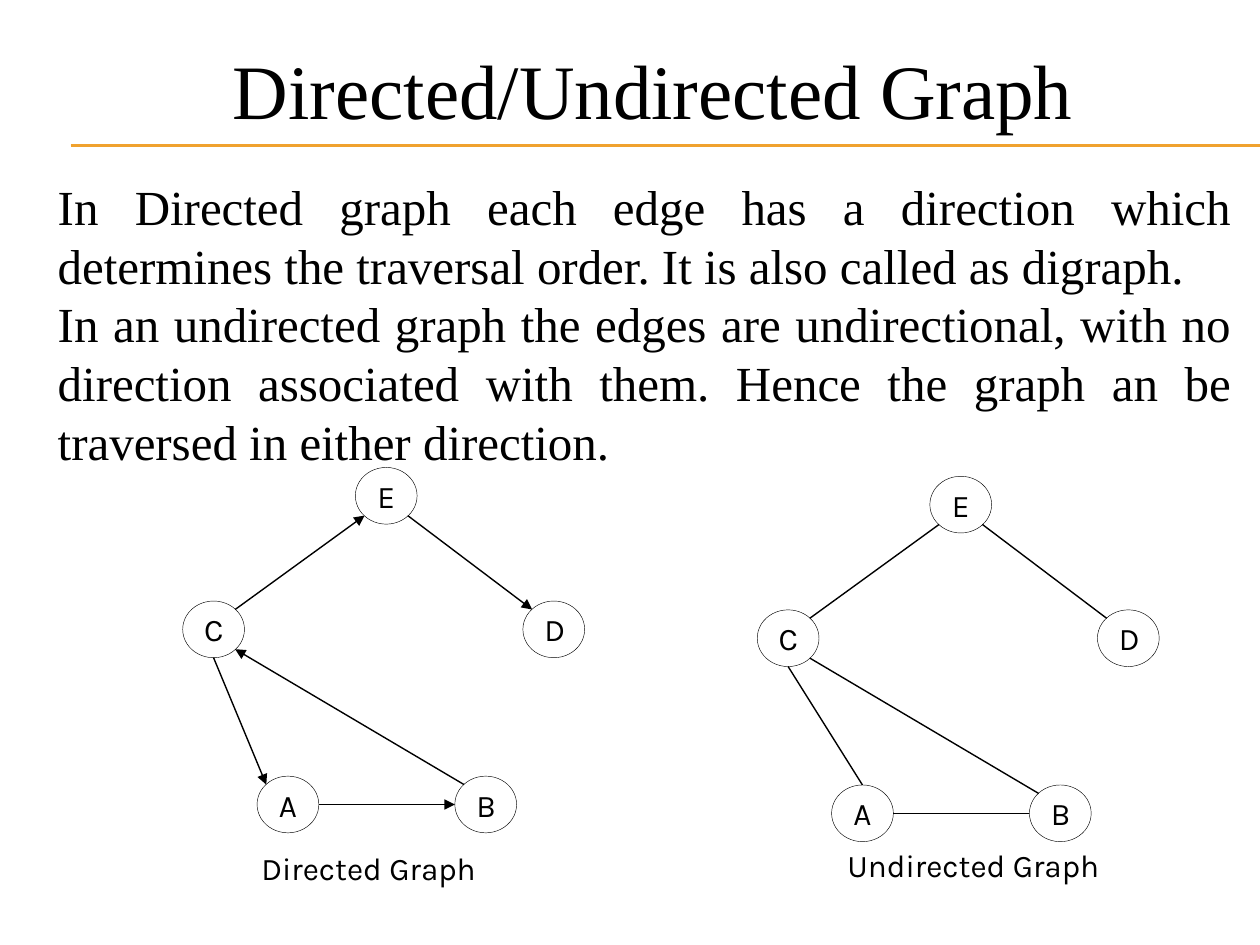
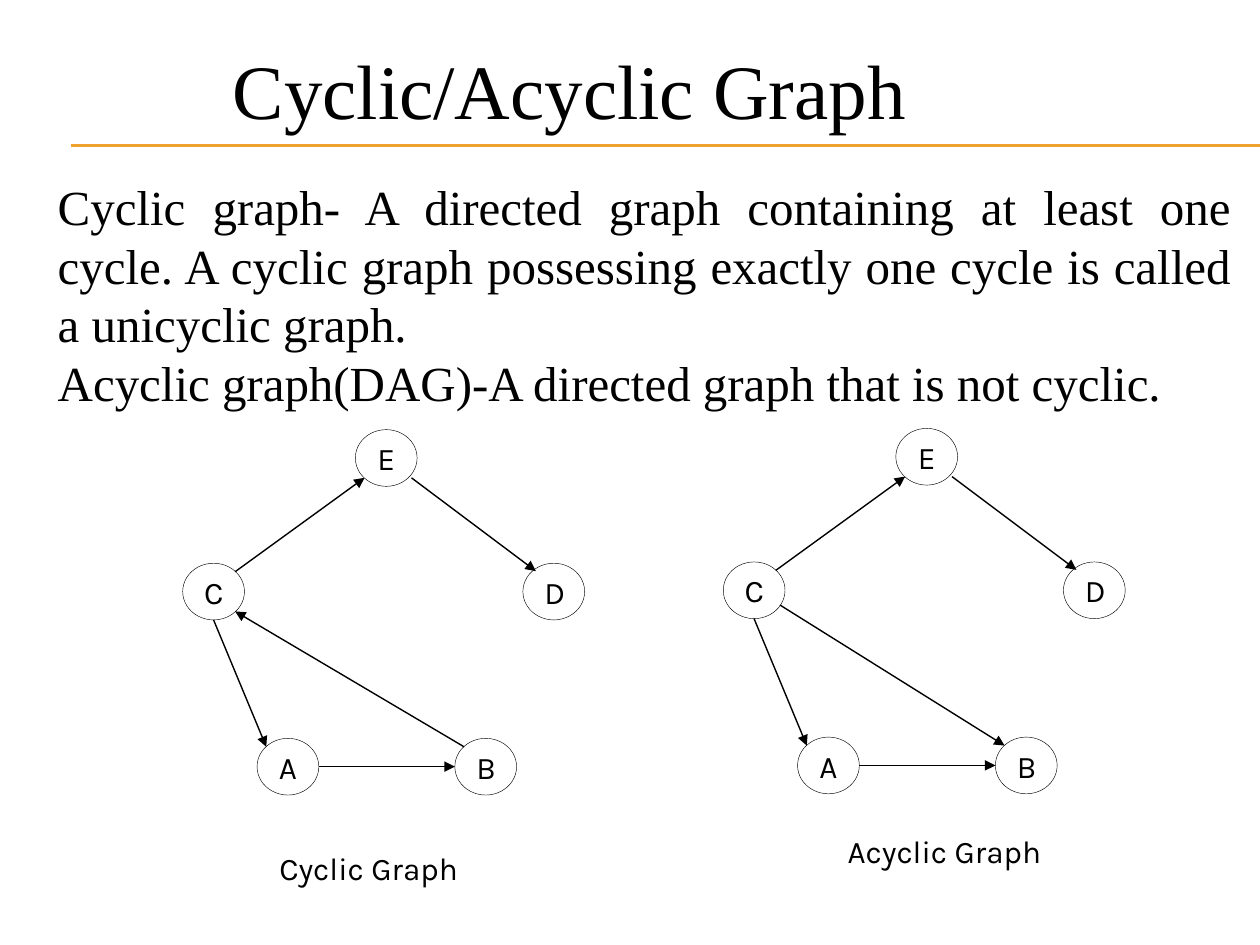
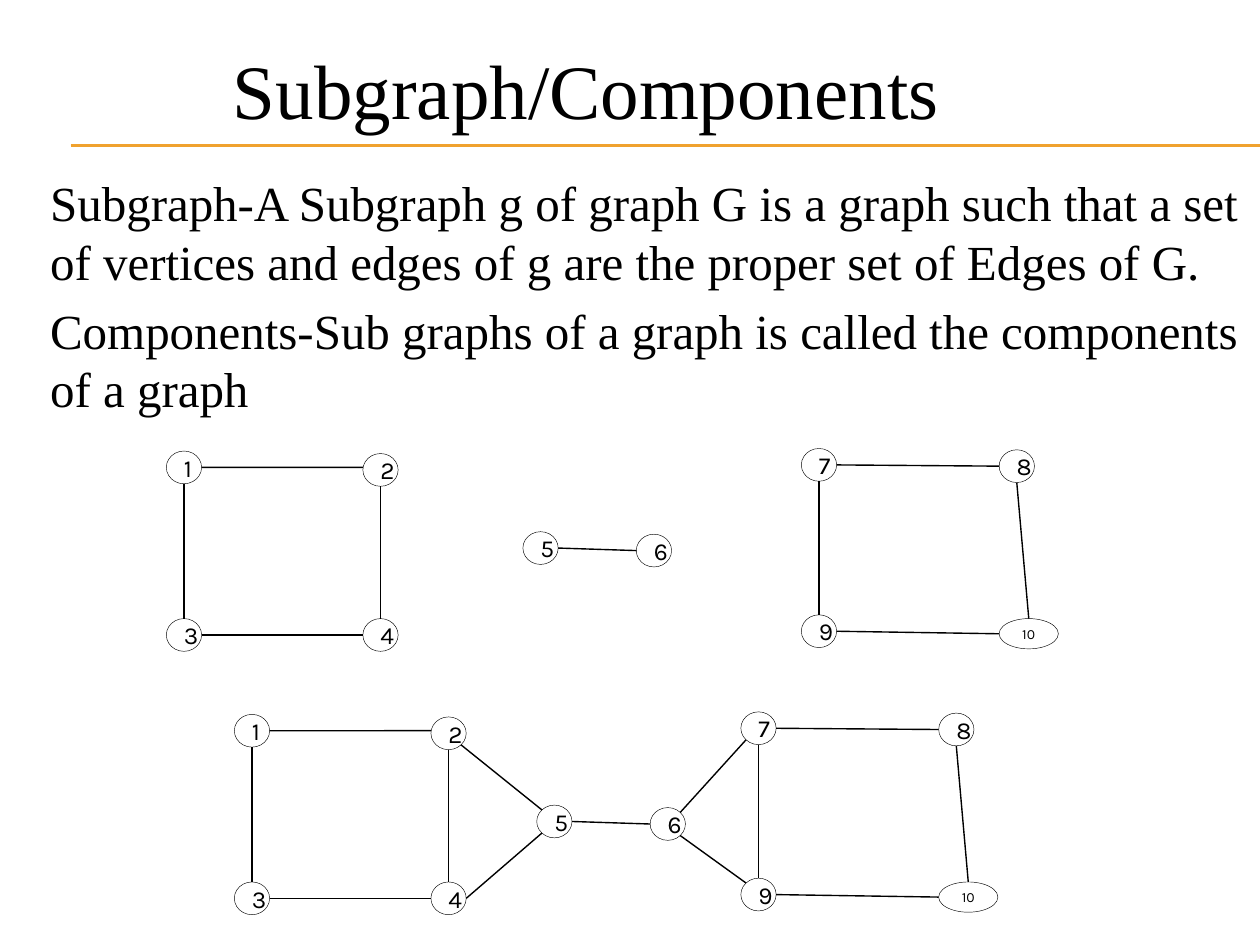
from dataclasses import dataclass

from lxml import etree
from pptx import Presentation
from pptx import util as u
from pptx.dml.color import RGBColor
from pptx.enum import shapes, text
from pptx.oxml import ns


@dataclass(frozen=True)
class Theme:
    """Colours, fonts, type sizes and line widths of the deck."""
    ink: RGBColor = RGBColor(0, 0, 0)
    accent: RGBColor = RGBColor(0xF0, 0xA2, 0x2E)
    serif: str = "Times New Roman"
    sans: str = "Karla"
    title: float = 44
    body: float = 28
    label: float = 18
    digit: float = 14
    tiny: float = 8
    rule: float = 0.75
    edge: float = 0.79
    outline: float = 0.25


THEME = Theme()
WIDTH, HEIGHT = 10, 7.5
LEFT, CENTER, JUSTIFY = (text.PP_ALIGN.LEFT, text.PP_ALIGN.CENTER,
                         text.PP_ALIGN.JUSTIFY)

# Node sizes: letters, digits and the wide node for a two-digit number.
LETTER, DIGIT, WIDE = (0.49, 0.45), (0.28, 0.26), (0.47, 0.24)

# Where edges meet a node, as shares of its box.
SITES = {
    "n": (0.5, 0), "s": (0.5, 1), "w": (0, 0.5), "e": (1, 0.5),
    "nw": (0.15, 0.15), "ne": (0.85, 0.15),
    "sw": (0.15, 0.85), "se": (0.85, 0.85),
    "wnw": (0, 0.42), "ese": (0.92, 0.76),
    "nnw": (0.21, 0.14), "see": (0.91, 0.85),
}

# Node places, relative to the top left corner of their graph.
PENTAGON = {"E": (1.37, 0), "A": (0.59, 2.45), "C": (0, 1.06),
            "D": (2.7, 1.06), "B": (2.16, 2.45)}
SQUARE = {"2": (1.56, 0.02), "3": (0, 1.33), "1": (0, 0), "4": (1.56, 1.33)}
PAIR = {"5": (0, 0), "6": (0.9, 0.02)}
TRAPEZOID = {"8": (1.57, 0.01), "9": (0, 1.32), "7": (0, 0),
             "10": (1.57, 1.35)}

# Edges, written as node:site pairs from start to end.
DIRECTED = ["C:ne E:sw", "E:se D:nw", "B:nw C:se", "C:s A:nw", "A:e B:w"]
UNDIRECTED = ["E:sw C:ne", "C:s A:n", "A:e B:w", "C:se B:nw", "E:se D:nw"]
CYCLIC = ["C:ne E:sw", "E:see D:nnw", "B:nw C:se", "C:s A:nw", "A:e B:w"]
ACYCLIC = ["C:ne E:sw", "E:see D:nnw", "C:ese B:nw", "C:s A:nw", "A:e B:w"]
SQUARE_EDGES = ["1:e 2:wnw", "2:s 4:n", "1:s 3:n", "3:e 4:w"]
PAIR_EDGES = ["5:e 6:w"]
TRAPEZOID_EDGES = ["7:e 8:w", "8:s 10:n", "7:s 9:n", "9:e 10:w"]
BRIDGES = ["2:se 5:nw", "4:e 5:sw", "6:ne 7:sw", "6:se 9:nw"]


def write(frame, lines, font, size, align, before=0):
    """Fill a text frame with one paragraph for each line."""
    for index, line in enumerate(lines):
        paragraph = frame.add_paragraph() if index else frame.paragraphs[0]
        paragraph.alignment = align
        if before:
            paragraph.space_before = u.Pt(before)
        run = paragraph.add_run()
        run.text = line
        run.font.name = font
        run.font.size = u.Pt(size)
        run.font.color.rgb = THEME.ink


def add_text(slide, box, lines, font, size, align=LEFT, before=0,
             anchor=text.MSO_ANCHOR.TOP):
    """Add a wrapping text box."""
    shape = slide.shapes.add_textbox(*map(u.Inches, box))
    shape.text_frame.word_wrap = True
    shape.text_frame.vertical_anchor = anchor
    write(shape.text_frame, lines, font, size, align, before)
    return shape


def add_line(parent, start, end, color, width, arrow=False):
    """Add a straight line, with an arrowhead at its end if asked."""
    line = parent.shapes.add_connector(
        shapes.MSO_CONNECTOR.STRAIGHT, *map(u.Inches, (*start, *end)))
    line.line.color.rgb = color
    line.line.width = u.Pt(width)
    if arrow:
        etree.SubElement(line.line._get_or_add_ln(), ns.qn("a:tailEnd"),
                         type="triangle")
    etree.SubElement(line._element.spPr, ns.qn("a:effectLst"))


def node_size(name):
    """Return the width and height of a node."""
    if name.isalpha():
        return LETTER
    return DIGIT if len(name) == 1 else WIDE


def add_node(parent, name, place):
    """Add an outlined ellipse with its name."""
    shape = parent.shapes.add_shape(
        shapes.MSO_SHAPE.OVAL, *map(u.Inches, (*place, *node_size(name))))
    shape.shadow.inherit = False
    shape.fill.background()
    shape.line.color.rgb = THEME.ink
    shape.line.width = u.Pt(THEME.outline)
    shape.text_frame.word_wrap = True
    shape.text_frame.vertical_anchor = text.MSO_ANCHOR.MIDDLE
    size = {LETTER: THEME.label, DIGIT: THEME.digit, WIDE: THEME.tiny}
    write(shape.text_frame, [name], THEME.sans, size[node_size(name)], CENTER)


def placed(nodes, left, top):
    """Move relative node places to a spot on the slide."""
    return {name: (left + x, top + y) for name, (x, y) in nodes.items()}


def site_point(nodes, end):
    """Return the point for a node:site pair."""
    name, site = end.split(":")
    return [start + length * share for start, length, share
            in zip(nodes[name], node_size(name), SITES[site])]


def add_graph(slide, nodes, edges, arrow=False):
    """Add a group of nodes and the edges between them."""
    group = slide.shapes.add_group_shape()
    for name, place in nodes.items():
        add_node(group, name, place)
    for edge in edges:
        start, end = (site_point(nodes, part) for part in edge.split())
        add_line(group, start, end, THEME.ink, THEME.edge, arrow)


def add_caption(slide, left, top, caption):
    """Add the centred name under a graph."""
    add_text(slide, (left, top, 2.95, 0.51), [caption], THEME.sans,
             THEME.label, CENTER, anchor=text.MSO_ANCHOR.MIDDLE)


def add_definitions(slide, lines):
    """Add the justified text above two graphs."""
    add_text(slide, (0.36, 1.35, 9.51, 5.83), lines, THEME.serif, THEME.body,
             JUSTIFY)


def add_slide(presentation, title):
    """Add a blank slide with the double rule and a title."""
    slide = presentation.slides.add_slide(presentation.slide_layouts[6])
    for y in (1.15, 1.16):
        add_line(slide, (0.56, y), (WIDTH, y), THEME.accent, THEME.rule)
    shape = add_text(slide, (1.75, 0.29, WIDTH - 1.75, 0.84), [title],
                     THEME.serif, THEME.title)
    shape.text_frame.auto_size = text.MSO_AUTO_SIZE.SHAPE_TO_FIT_TEXT
    return slide


def add_direction_slide(presentation):
    """Compare a directed with an undirected graph."""
    slide = add_slide(presentation, "Directed/Undirected Graph")
    add_definitions(slide, [
        "In Directed graph each edge has a direction which determines the "
        "traversal order. It is also called as digraph.",
        "In an undirected graph the edges are undirectional, with no "
        "direction associated with them. Hence the graph an be traversed in "
        "either direction."])
    add_graph(slide, placed(PENTAGON, 1.45, 3.71), DIRECTED, arrow=True)
    add_caption(slide, 1.45, 6.63, "Directed Graph")
    add_caption(slide, 6.25, 6.61, "Undirected Graph")
    add_graph(slide, placed(PENTAGON, 6.01, 3.78), UNDIRECTED)


def add_cycle_slide(presentation):
    """Compare a cyclic with an acyclic graph."""
    slide = add_slide(presentation, "Cyclic/Acyclic Graph")
    add_definitions(slide, [
        "Cyclic graph- A directed graph containing at least one cycle. A "
        "cyclic graph possessing exactly one cycle is called a unicyclic "
        "graph.",
        "Acyclic graph(DAG)-A directed graph that is not cyclic."])
    add_caption(slide, 1.45, 6.63, "Cyclic Graph")
    add_caption(slide, 6.02, 6.5, "Acyclic Graph")
    add_graph(slide, placed(PENTAGON, 1.45, 3.41), CYCLIC, arrow=True)
    add_graph(slide, placed(PENTAGON, 5.74, 3.4), ACYCLIC, arrow=True)


def add_component_slide(presentation):
    """Show three components and the graph that joins them."""
    slide = add_slide(presentation, "Subgraph/Components")
    add_text(slide, (0.3, 1.32, 9.83, 5.79), [
        "Subgraph-A Subgraph g of graph G is a graph such that a set of "
        "vertices and edges of g are the proper set of Edges of G.",
        "Components-Sub graphs of a graph is called the components of a "
        "graph"], THEME.serif, THEME.body, before=0.2 * THEME.body)
    add_graph(slide, placed(SQUARE, 1.32, 3.58), SQUARE_EDGES)
    add_graph(slide, placed(PAIR, 4.15, 4.22), PAIR_EDGES)
    add_graph(slide, placed(TRAPEZOID, 6.36, 3.56), TRAPEZOID_EDGES)
    joined = {**placed(SQUARE, 1.86, 5.67), **placed(PAIR, 4.26, 6.39),
              **placed(TRAPEZOID, 5.88, 5.65)}
    add_graph(slide, joined,
              SQUARE_EDGES + PAIR_EDGES + TRAPEZOID_EDGES + BRIDGES)


def main():
    """Build and save the presentation."""
    presentation = Presentation()
    presentation.slide_width = u.Inches(WIDTH)
    presentation.slide_height = u.Inches(HEIGHT)
    add_direction_slide(presentation)
    add_cycle_slide(presentation)
    add_component_slide(presentation)
    presentation.save("out.pptx")


main()
